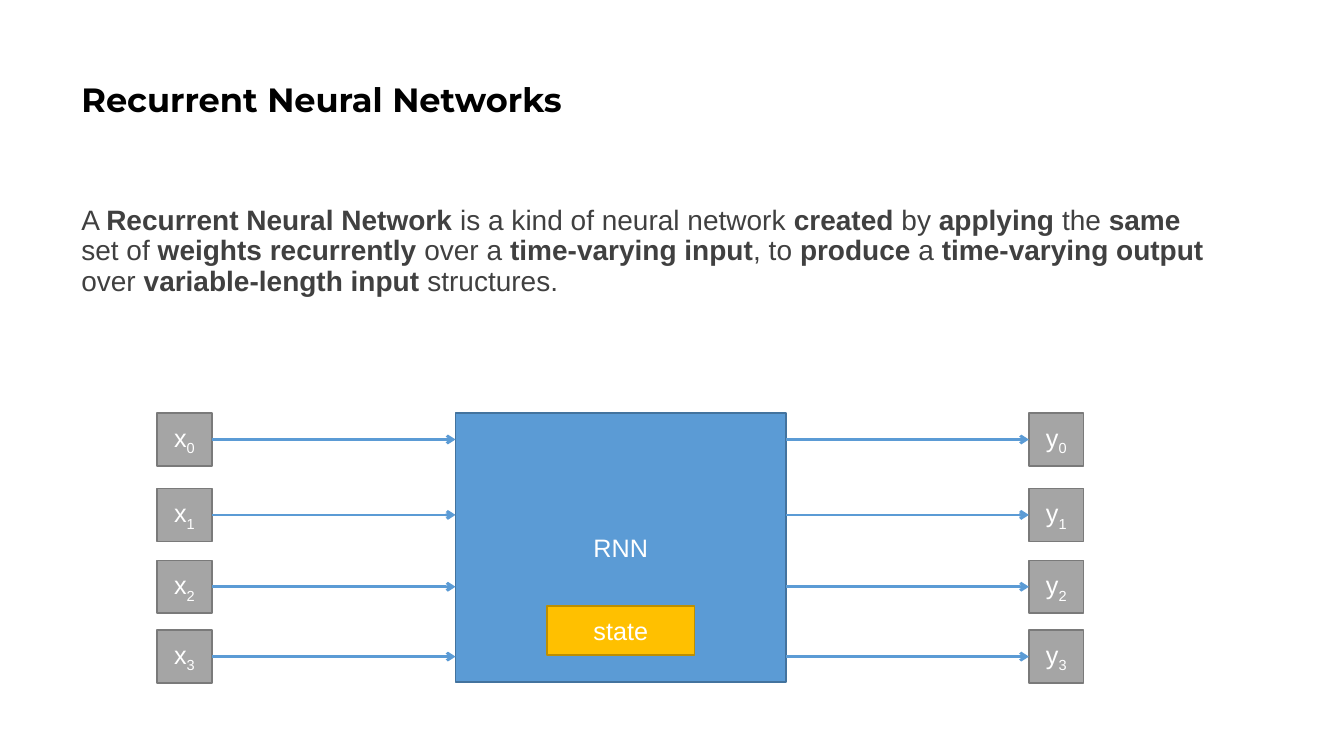
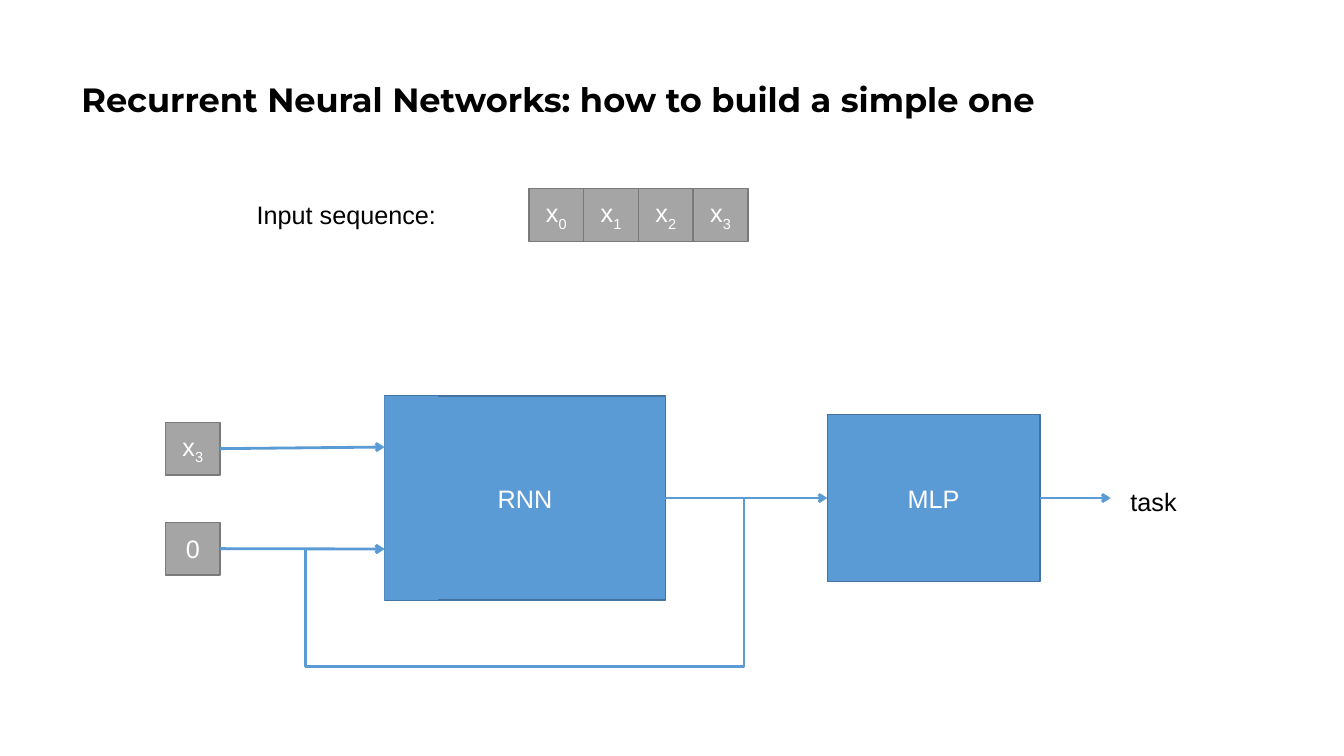
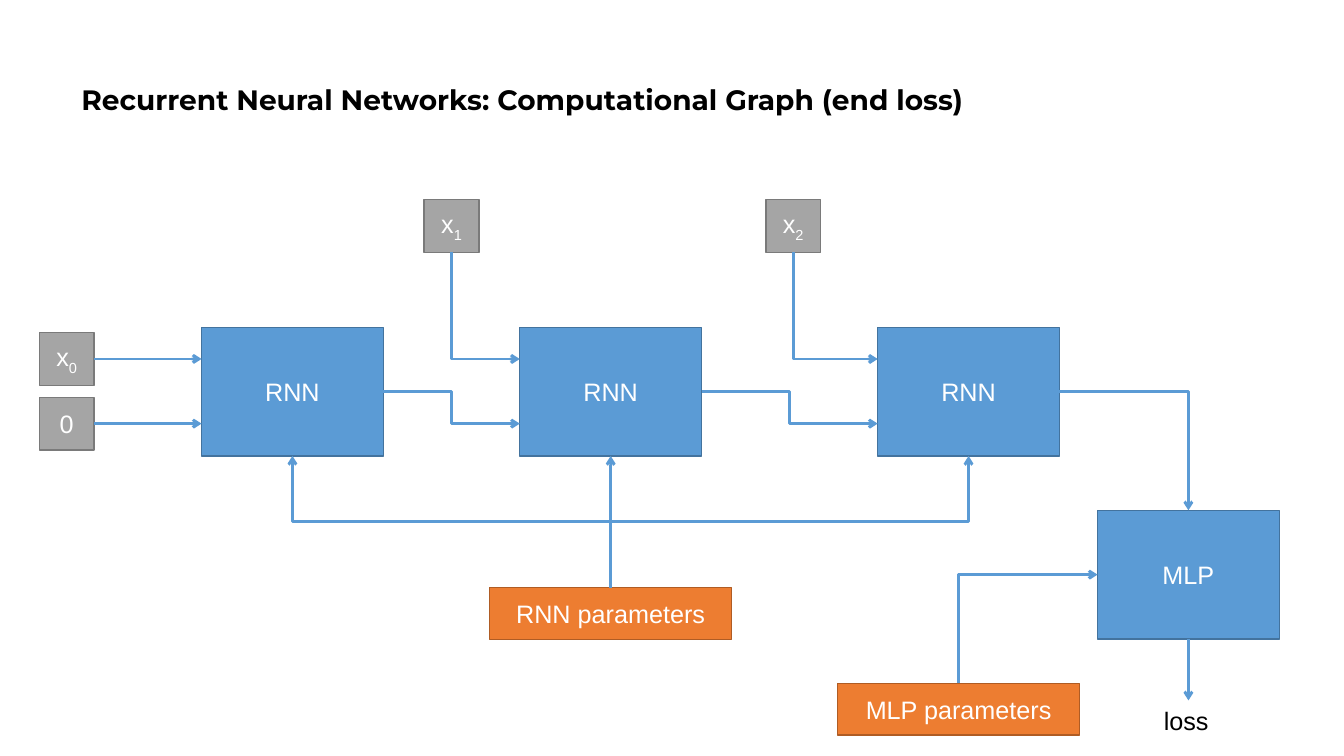
from dataclasses import dataclass
from lxml.etree import SubElement
from pptx import Presentation
from pptx.dml.color import RGBColor
from pptx.enum.shapes import MSO_CONNECTOR, MSO_SHAPE
from pptx.enum.text import MSO_ANCHOR, PP_ALIGN
from pptx.oxml.ns import qn
from pptx.util import Cm, Pt


@dataclass(frozen=True)
class Theme:
    gray: tuple = ("A5A5A5", "7A7A7A")
    blue: tuple = ("5B9BD5", "43739E")
    gold: tuple = ("FFC000", "BD8E00")
    orange: tuple = ("ED7D31", "AF5C24")
    plain_blue: tuple = ("5B9BD5", None)
    arrow: str = "5B9BD5"
    black: str = "000000"
    dark: str = "404040"
    white: str = "FFFFFF"
    font: str = "Arial"
    title_font: str = "Montserrat"
    title_size: int = 24
    small_title_size: int = 20
    body_size: int = 20
    label_size: int = 18
    edge: int = 1
    stroke: int = 2


T = Theme()
TOP, LEFT, BOTTOM, RIGHT = range(4)
SQUARE = (1.38, 1.33)
CELL = (4.58, 3.24)
PARAMS = (6.1, 1.3)

DEFINITION = (
    "A **Recurrent Neural Network** is a kind of neural network **created **by "
    "**applying **the** same** set of **weights recurrently **over a"
    "** time-varying input**, to **produce **a** time-varying output** over "
    "**variable-length input **structures."
)
STEP_TOPS = [10.41, 12.31, 14.12, 15.88]
STEP_COLUMNS = {"x": 3.96, "y": 25.93}
SEQUENCE = ["x_0", "x_1", "x_2", "x_3"]
CELL_LEFTS = [5.08, 13.1, 22.12]
LATER_INPUTS = [("x_1", 10.69), ("x_2", 19.3)]
FIRST_INPUTS = [("x_0", 8.38), ("0", 10.01)]


def write(tf, text, size=T.label_size, color=T.black, font=T.font, bold=False,
          align=PP_ALIGN.LEFT, anchor=MSO_ANCHOR.TOP, spacing=None, before=None):
    tf.word_wrap = True
    tf.vertical_anchor = anchor
    p = tf.paragraphs[0]
    p.alignment, p.line_spacing = align, spacing
    if before:
        p.space_before = Pt(before)
    for i, part in enumerate(text.split("**")):
        for j, piece in enumerate(part.split("_")):
            r = p.add_run()
            r.text = piece
            r.font.name, r.font.size = font, Pt(size)
            r.font.bold = bold or i % 2 == 1
            r.font.color.rgb = RGBColor.from_string(color)
            if j:
                r._r.get_or_add_rPr().set("baseline", "-25000")


def textbox(s, text, x, y, w, h, **fmt):
    write(s.shapes.add_textbox(Cm(x), Cm(y), Cm(w), Cm(h)).text_frame, text, **fmt)


def box(s, text, x, y, w, h, colors):
    sp = s.shapes.add_shape(MSO_SHAPE.RECTANGLE, Cm(x), Cm(y), Cm(w), Cm(h))
    fill, line = colors
    sp.shadow.inherit = False
    sp.fill.solid()
    sp.fill.fore_color.rgb = RGBColor.from_string(fill)
    if line:
        sp.line.color.rgb = RGBColor.from_string(line)
        sp.line.width = Pt(T.edge)
    else:
        sp.line.fill.background()
    if text:
        write(sp.text_frame, text, color=T.white, align=PP_ALIGN.CENTER,
              anchor=MSO_ANCHOR.MIDDLE)
    return sp


def square(s, text, x, y):
    return box(s, text, x, y, *SQUARE, T.gray)


def locate(end):
    if len(end) == 2 and isinstance(end[0], (int, float)):
        return Cm(end[0]), Cm(end[1])
    sp, site = end
    dx, dy = [(0.5, 0), (0, 0.5), (0.5, 1), (1, 0.5)][site]
    return int(sp.left + dx * sp.width), int(sp.top + dy * sp.height)


def turn(c, x1, y1, x2, y2):
    w, h = abs(y2 - y1), abs(x2 - x1)
    c.left, c.top = (x1 + x2 - w) // 2, (y1 + y2 - h) // 2
    c.width, c.height = w, h
    xfrm = c._element.spPr.find(qn("a:xfrm"))
    down = y2 > y1
    xfrm.set("rot", str((90 if down else 270) * 60000))
    xfrm.set("flipH", "0")
    xfrm.set("flipV", str(int((x2 > x1) == down)))


def arrow(s, start, end, bends=0, vertical=False, adjust=()):
    kind = MSO_CONNECTOR.ELBOW if bends else MSO_CONNECTOR.STRAIGHT
    points = (*locate(start), *locate(end))
    c = s.shapes.add_connector(kind, *points)
    if not isinstance(start[0], (int, float)):
        c.begin_connect(*start)
    if not isinstance(end[0], (int, float)):
        c.end_connect(*end)
    spPr = c._element.spPr
    if bends:
        geom = spPr.find(qn("a:prstGeom"))
        geom.set("prst", f"bentConnector{bends + 1}")
        guides = geom.find(qn("a:avLst"))
        for i, value in enumerate(adjust, 1):
            SubElement(guides, qn("a:gd"), name=f"adj{i}",
                       fmla=f"val {round(value * 100000)}")
    if vertical:
        turn(c, *points)
    c.line.color.rgb = RGBColor.from_string(T.arrow)
    c.line.width = Pt(T.stroke)
    SubElement(spPr.find(qn("a:ln")), qn("a:tailEnd"), type="arrow")
    SubElement(spPr, qn("a:effectLst"))


def new_slide(prs, title, size=T.title_size):
    s = prs.slides.add_slide(prs.slide_layouts[6])
    textbox(s, title, 1.8, 0.71, 29.21, 3.68, size=size, font=T.title_font,
            bold=True, anchor=MSO_ANCHOR.MIDDLE, spacing=0.9)
    return s


def overview(prs):
    s = new_slide(prs, "Recurrent Neural Networks")
    textbox(s, DEFINITION, 1.8, 5.08, 29.21, 2.77, size=T.body_size,
            color=T.dark, spacing=0.9, before=10)
    x, y, w, h = 11.48, 10.41, 8.33, 6.78
    box(s, "RNN", x, y, w, h, T.blue)
    for i, top in enumerate(STEP_TOPS):
        middle = top + SQUARE[1] / 2
        source, result = [square(s, f"{name}_{i}", left, top)
                          for name, left in STEP_COLUMNS.items()]
        arrow(s, (source, RIGHT), (x, middle))
        arrow(s, (x + w, middle), (result, LEFT))
    box(s, "state", 13.79, 15.27, 3.71, 1.24, T.gold)


def simple_network(prs):
    s = new_slide(prs, "Recurrent Neural Networks: how to build a simple one")
    textbox(s, "Input sequence:", 6.22, 4.9, 5.61, 1.02)
    for i, name in enumerate(SEQUENCE):
        square(s, name, 13.33 + i * SQUARE[0], 4.75)
    x, y, w, h = 9.69, 9.98, 7.08, 5.14
    rnn = box(s, "RNN", x, y, w, h, T.blue)
    ports = [box(s, "", x, y + i * h / 2, 1.35, h / 2, T.plain_blue) for i in range(2)]
    mlp = box(s, "MLP", 20.85, 10.44, 5.36, 4.22, T.blue)
    for name, top, port in zip(("x_3", "0"), (10.64, 13.16), ports):
        arrow(s, (square(s, name, 4.17, top), RIGHT), (port, LEFT))
    arrow(s, (rnn, RIGHT), (mlp, LEFT))
    arrow(s, (rnn, RIGHT), (ports[1], LEFT), bends=4, adjust=(-0.28, 3.31, 1.28))
    arrow(s, (mlp, RIGHT), (27.99, 12.55))
    textbox(s, "task", 28.24, 12.14, 1.85, 1.02)


def computational_graph(prs):
    s = new_slide(prs, "Recurrent Neural Networks: Computational Graph (end loss)",
                  size=T.small_title_size)
    cells = [box(s, "RNN", x, 8.25, *CELL, T.blue) for x in CELL_LEFTS]
    ports = [top + SQUARE[1] / 2 for _, top in FIRST_INPUTS]
    for (name, top), port in zip(FIRST_INPUTS, ports):
        arrow(s, (square(s, name, 0.99, top), RIGHT), (CELL_LEFTS[0], port))
    for (name, left), x, previous in zip(LATER_INPUTS, CELL_LEFTS[1:], cells):
        arrow(s, (square(s, name, left, 5.03), BOTTOM), (x, ports[0]),
              bends=1, vertical=True)
        arrow(s, (previous, RIGHT), (x, ports[1]), bends=2, adjust=(0.5,))
    rnn_params = box(s, "RNN parameters", 12.34, 14.81, *PARAMS, T.orange)
    arrow(s, (rnn_params, TOP), (cells[1], BOTTOM))
    for cell in (cells[0], cells[2]):
        arrow(s, (rnn_params, TOP), (cell, BOTTOM), bends=2, vertical=True, adjust=(0.5,))
    mlp = box(s, "MLP", 27.66, 12.86, *CELL, T.blue)
    arrow(s, (cells[2], RIGHT), (mlp, TOP), bends=1)
    mlp_params = box(s, "MLP parameters", 21.11, 17.22, *PARAMS, T.orange)
    arrow(s, (mlp_params, TOP), (mlp, LEFT), bends=1, vertical=True)
    arrow(s, (mlp, BOTTOM), (29.95, 17.65))
    textbox(s, "loss", 29.08, 17.65, 1.73, 1.02)


def main():
    prs = Presentation()
    prs.slide_width, prs.slide_height = Cm(33.87), Cm(19.05)
    for build in (overview, simple_network, computational_graph):
        build(prs)
    prs.save("out.pptx")


if __name__ == "__main__":
    main()
